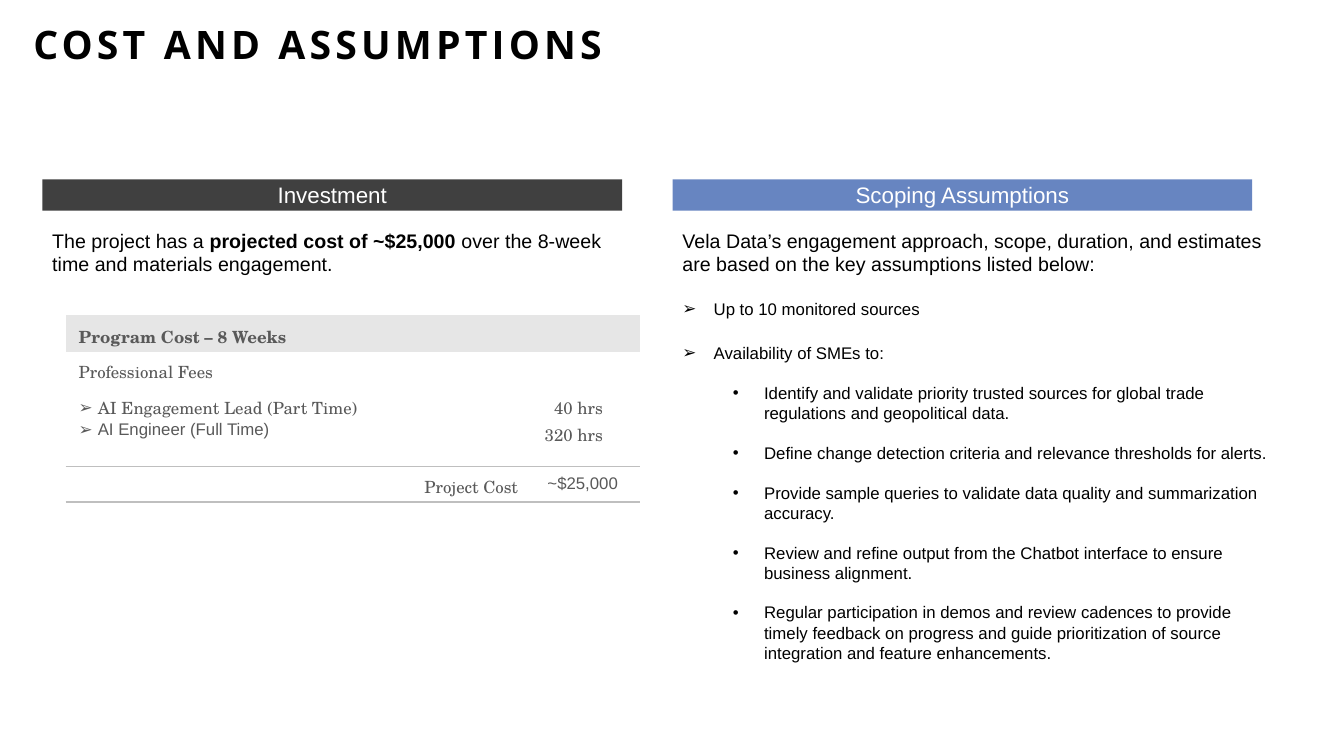
from pptx import Presentation
from pptx.util import Inches, Pt
from pptx.dml.color import RGBColor
from pptx.enum import shapes, text
from pptx.oxml import parse_xml
from pptx.oxml.ns import nsdecls

LEFT, CENTER, RIGHT = text.PP_ALIGN.LEFT, text.PP_ALIGN.CENTER, text.PP_ALIGN.RIGHT
SERIF = "TeX Gyre Schola"
GREY, RULE = "595959", "BFBFBF"


def color(hex_text):
    return RGBColor.from_string(hex_text)


class CostPage:
    """Holds the text style and the slide being built."""

    font, ink = "Arial", "000000"

    def __init__(self, deck):
        self.page = deck.slides.add_slide(deck.slide_layouts[5])

    def add_span(self, para, words, size, font=None, ink=None, bold=False):
        span = para.add_run()
        span.text = words
        span.font.size, span.font.bold = Pt(size), bold
        span.font.name = font or self.font
        span.font.color.rgb = color(ink or self.ink)
        return span

    def next_para(self, frame, align=LEFT, after=0):
        """Return the empty first paragraph, or a new one."""
        first = frame.paragraphs[0]
        para = frame.add_paragraph() if first.runs else first
        para.alignment, para.space_after = align, Pt(after)
        return para

    def bullet(self, para, mark, indent, hang):
        props = para._p.get_or_add_pPr()
        props.set("marL", str(Inches(indent)))
        props.set("indent", str(-Inches(hang)))
        props.append(parse_xml(f'<a:buFont {nsdecls("a")} typeface="Arial"/>'))
        props.append(parse_xml(f'<a:buChar {nsdecls("a")} char="{mark}"/>'))

    def title(self, words):
        box = self.page.shapes.title
        box.left, box.top = Inches(0.33), Inches(0.25)
        box.width, box.height = Inches(12.58), Inches(0.57)
        frame = box.text_frame
        frame.margin_left = frame.margin_right = 0
        frame.margin_top = frame.margin_bottom = 0
        frame.vertical_anchor = text.MSO_ANCHOR.TOP
        frame.auto_size = text.MSO_AUTO_SIZE.NONE
        para = self.next_para(frame)
        para.line_spacing = 0.9
        span = self.add_span(para, words, 28, "Open Sans", bold=True)
        span.font._element.set("spc", "300")

    def banner(self, left, words, fill):
        box = self.page.shapes.add_shape(
            shapes.MSO_SHAPE.RECTANGLE,
            Inches(left), Inches(1.78), Inches(5.75), Inches(0.31))
        box.shadow.inherit = False
        box.fill.solid()
        box.fill.fore_color.rgb = color(fill)
        box.line.fill.background()
        frame = box.text_frame
        frame.margin_top = frame.margin_bottom = 0
        frame.vertical_anchor = text.MSO_ANCHOR.MIDDLE
        self.add_span(self.next_para(frame, CENTER), words, 16, ink="FFFFFF")

    def text_box(self, left, width, height):
        box = self.page.shapes.add_textbox(
            Inches(left), Inches(2.22), Inches(width), Inches(height))
        box.text_frame.word_wrap = True
        return box.text_frame

    def table(self, left, top, widths, heights):
        """Add a plain table whose empty cells keep their rows low."""
        frame = self.page.shapes.add_table(
            len(heights), len(widths), Inches(left), Inches(top),
            Inches(sum(widths)), Inches(sum(heights)))
        grid = frame.table
        grid.first_row = grid.horz_banding = False
        for column, width in zip(grid.columns, widths):
            column.width = Inches(width)
        for row, height in zip(grid.rows, heights):
            row.height = Inches(height)
        for cell in grid.iter_cells():
            cell.fill.background()
            cell.margin_left = cell.margin_right = Inches(0.13)
            cell.margin_top, cell.margin_bottom = Inches(0.08), Inches(0.06)
            cell.text_frame.paragraphs[0].font.size = Pt(12)
            for side in ("L", "R", "T", "B"):
                self.border(cell, side)
        return grid

    def border(self, cell, side, ink=None):
        """Set one side of a cell; no ink means no line."""
        props = cell._tc.get_or_add_tcPr()
        for old in props.findall(f"{{{props.nsmap['a']}}}ln{side}"):
            props.remove(old)
        paint = (f'<a:solidFill><a:srgbClr val="{ink}"/></a:solidFill>'
                 if ink else "<a:noFill/>")
        line = parse_xml(f'<a:ln{side} {nsdecls("a")} w="12700">{paint}</a:ln{side}>')
        props.insert(["L", "R", "T", "B"].index(side), line)

    def cell_text(self, cell, words, align=LEFT, font=SERIF, bold=False, after=0):
        para = self.next_para(cell.text_frame, align, after)
        self.add_span(para, words, 12, font, GREY, bold)
        return para


def add_cost_table(cost):
    grid = cost.table(0.65, 3.13, [1.86, 0.29, 2.46, 1.08], [0.36, 0.35, 0.79, 0.35])
    for row, (first, last) in enumerate([(0, 2), (1, 2), (0, 2), (0, 1)]):
        grid.cell(row, first).merge(grid.cell(row, last))
    for column in range(4):
        header = grid.cell(0, column)
        header.fill.solid()
        header.fill.fore_color.rgb = color("E6E6E6")
        for row, side in [(2, "B"), (3, "T"), (3, "B")]:
            cost.border(grid.cell(row, column), side, RULE)

    cost.cell_text(grid.cell(0, 0), "Program Cost – 8 Weeks", bold=True)
    cost.cell_text(grid.cell(1, 0), "Professional Fees")
    for role, font in [("AI Engagement Lead (Part Time)", SERIF),
                       ("AI Engineer (Full Time)", cost.font)]:
        cost.bullet(cost.cell_text(grid.cell(2, 0), role, font=font), "➢", 0.19, 0.19)
    hours, total = grid.cell(2, 3), grid.cell(3, 3)
    hours.margin_right, total.margin_right = Inches(0.37), Inches(0.22)
    hours.margin_left = total.margin_left = Inches(0.05)
    for amount in ("40 hrs", "320 hrs"):
        cost.cell_text(hours, amount, RIGHT, after=2)
    cost.cell_text(grid.cell(3, 2), "Project Cost", RIGHT)
    cost.cell_text(total, "~$25,000", RIGHT, cost.font)


def add_assumptions(cost):
    frame = cost.text_box(6.67, 6.08, 5.47)
    cost.add_span(
        cost.next_para(frame, after=16.5),
        "Vela Data’s engagement approach, scope, duration, and estimates "
        "are based on the key assumptions listed below:", 14)
    for level, after, words in [
        (0, 17, "Up to 10 monitored sources"),
        (0, 14, "Availability of SMEs to:"),
        (1, 14, "Identify and validate priority trusted sources for global trade "
                "regulations and geopolitical data."),
        (1, 14, "Define change detection criteria and relevance thresholds for alerts."),
        (1, 14, "Provide sample queries to validate data quality and summarization "
                "accuracy."),
        (1, 14, "Review and refine output from the Chatbot interface to ensure "
                "business alignment."),
        (1, 0, "Regular participation in demos and review cadences to provide timely "
               "feedback on progress and guide prioritization of source integration "
               "and feature enhancements."),
    ]:
        para = cost.next_para(frame, after=after)
        para.level = level
        cost.bullet(para, "➢•"[level], 0.31 + 0.5 * level, 0.31)
        cost.add_span(para, words, 12)


def main():
    deck = Presentation()
    deck.slide_width, deck.slide_height = Inches(13.33), Inches(7.5)
    cost = CostPage(deck)
    cost.title("COST AND ASSUMPTIONS")
    cost.banner(0.42, "Investment", "404040")
    cost.banner(6.67, "Scoping Assumptions", "6785C1")

    summary = cost.next_para(cost.text_box(0.42, 5.67, 0.57))
    cost.add_span(summary, "The project has a ", 14)
    cost.add_span(summary, "projected cost of ~$25,000 ", 14, bold=True)
    cost.add_span(summary, "over the 8-week time and materials engagement.", 14)

    add_cost_table(cost)
    add_assumptions(cost)
    deck.save("out.pptx")


if __name__ == "__main__":
    main()
